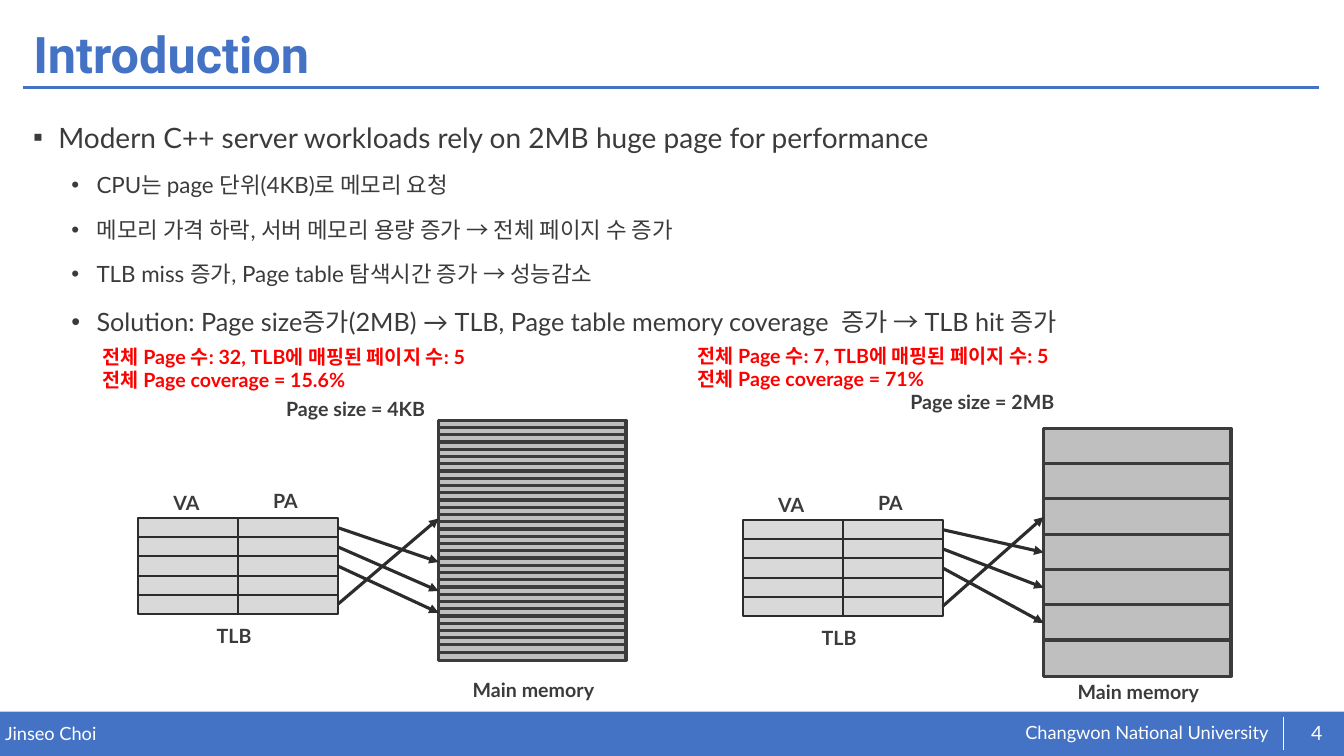
"""Build the introduction slide on page size and TLB coverage."""
from dataclasses import dataclass

from lxml.etree import SubElement
from pptx import Presentation
from pptx.dml.color import RGBColor
from pptx.enum.shapes import MSO_CONNECTOR, MSO_SHAPE
from pptx.enum.text import MSO_ANCHOR, PP_ALIGN
from pptx.oxml.ns import qn
from pptx.util import Inches, Pt


@dataclass(frozen=True)
class Theme:
    font: str = "Lato"
    head: str = "Roboto"
    blue: str = "4472C4"
    white: str = "FFFFFF"
    ink: str = "3B3B3B"
    dark: str = "2C2C2C"
    red: str = "FF0000"
    cell: str = "D9D9D9"
    page: str = "BFBFBF"
    title: int = 36
    label: int = 14
    foot: int = 13


THEME = Theme()
TITLE = "Introduction"
BODY = [
    ("▪", 20, 0.25, "Modern C++ server workloads rely on 2MB huge page for performance"),
    ("•", 16, 0.63, "CPU는 page 단위(4KB)로 메모리 요청"),
    ("•", 16, 0.63, "메모리 가격 하락, 서버 메모리 용량 증가 → 전체 페이지 수 증가"),
    ("•", 16, 0.63, "TLB miss 증가, Page table 탐색시간 증가 → 성능감소"),
    ("•", 18, 0.63, "Solution: Page size증가(2MB) → TLB, Page table memory coverage  증가 → TLB hit 증가"),
]
AUTHOR, SCHOOL, NUMBER = "Jinseo Choi", "Changwon National University", "4"
SIDES = [
    {
        "tlb": (1.37, 5.14),
        "pages": {"top": 4.17, "count": 33, "step": 2.3 / 32, "high": 0.08},
        "hits": {0: 19, 1: 23, 2: 26, 4: 13},
        "size": ("Page size = 4KB", 2.74, 3.89),
        "note": (["전체 Page 수: 32, TLB에 매핑된 페이지 수: 5",
                  "전체 Page coverage = 15.6%"], 0.92, 3.37),
    },
    {
        "tlb": (7.37, 5.16),
        "pages": {"top": 4.25, "count": 7, "step": 0.35, "high": 0.36},
        "hits": {0: 3, 1: 4, 2: 5, 4: 2},
        "size": ("Page size = 2MB", 8.93, 3.82),
        "note": (["전체 Page 수: 7, TLB에 매핑된 페이지 수: 5",
                  "전체 Page coverage = 71%"], 6.82, 3.36),
    },
]
LABELS = [
    ("VA", 0.25, -0.32, 0.49),
    ("PA", 1.24, -0.34, 0.49),
    ("TLB", 0.68, 1.0, 0.55),
    ("Main memory", 3.22, 1.54, 1.86),
]
ROWS, CELL_W, CELL_H = 5, 0.99, 0.19
PAGE_X, PAGE_W = 2.98, 1.86


def color(code):
    return RGBColor.from_string(code)


def style(para, size, code, bold=False, face=THEME.font):
    for run in para.runs:
        font = run.font
        font.name, font.size, font.bold = face, Pt(size), bold
        font.color.rgb = color(code)


def add_text(slide, lines, x, y, w, h, size, code, bold=False, bare=False):
    frame = slide.shapes.add_textbox(*map(Inches, (x, y, w, h))).text_frame
    frame.word_wrap = w > 1
    if bare:
        frame.margin_left = frame.margin_right = 0
        frame.margin_top = frame.margin_bottom = 0
    frame.text = "\n".join(lines)
    for para in frame.paragraphs:
        style(para, size, code, bold)
    return frame


def add_box(slide, x, y, w, h, fill, line=None, width=0):
    box = slide.shapes.add_shape(MSO_SHAPE.RECTANGLE, *map(Inches, (x, y, w, h)))
    box.shadow.inherit = False
    box.fill.solid()
    box.fill.fore_color.rgb = color(fill)
    if line:
        box.line.color.rgb = color(line)
        box.line.width = Pt(width)
    else:
        box.line.fill.background()
    return box


def add_line(slide, x1, y1, x2, y2, code, width):
    line = slide.shapes.add_connector(
        MSO_CONNECTOR.STRAIGHT, *map(Inches, (x1, y1, x2, y2)))
    line.line.color.rgb = color(code)
    line.line.width = Pt(width)
    SubElement(line._element.spPr, qn("a:effectLst"))
    return line


def add_arrow(slide, cell, page):
    arrow = add_line(slide, 0, 0, 1, 1, THEME.dark, 2.25)
    arrow.begin_connect(cell, 3)
    arrow.end_connect(page, 1)
    SubElement(arrow.line._get_or_add_ln(), qn("a:tailEnd"), type="triangle")


def add_frame(slide):
    add_box(slide, 0, 7.06, 13.33, 0.44, THEME.blue)
    add_text(slide, [SCHOOL], 10.17, 7.16, 2.67, 0.23, THEME.foot, THEME.white, bare=True)
    add_text(slide, [AUTHOR], 0.05, 7.17, 6.55, 0.22, THEME.foot, THEME.white, bare=True)
    add_line(slide, 0.23, 0.87, 13.08, 0.87, THEME.blue, 2)
    add_line(slide, 12.73, 7.11, 12.73, 7.44, THEME.white, 0.5)
    frame = add_text(slide, [NUMBER], 12.82, 7.07, 0.48, 0.4, THEME.label, THEME.white, bare=True)
    frame.word_wrap = True
    frame.vertical_anchor = MSO_ANCHOR.MIDDLE
    frame.paragraphs[0].alignment = PP_ALIGN.CENTER


def add_title(slide):
    title = slide.shapes.title
    title.left, title.top, title.width, title.height = map(
        Inches, (0.23, 0.18, 12.86, 0.77))
    frame = title.text_frame
    frame.text = TITLE
    frame.vertical_anchor = MSO_ANCHOR.MIDDLE
    para = frame.paragraphs[0]
    para.alignment, para.line_spacing = PP_ALIGN.LEFT, 0.9
    style(para, THEME.title, THEME.blue, True, THEME.head)


def add_body(slide):
    lines = [text for *_, text in BODY]
    frame = add_text(slide, lines, 0.23, 1.01, 12.86, 5.63, 16, THEME.ink)
    for i, (para, (mark, size, left, _)) in enumerate(zip(frame.paragraphs, BODY)):
        para.line_spacing = 1.4
        para.space_before = Pt(5 if i else 0)
        props = para._p.get_or_add_pPr()
        props.set("marL", str(Inches(left)))
        props.set("indent", str(-Inches(0.25)))
        SubElement(props, qn("a:buFont"), typeface="Arial")
        SubElement(props, qn("a:buChar"), char=mark)
        style(para, size, THEME.ink)


def add_side(slide, side):
    x, y = side["tlb"]
    cells = [[add_box(slide, x + col * CELL_W, y + row * CELL_H, CELL_W, CELL_H,
                      THEME.cell, THEME.dark, 1.5) for col in range(2)]
             for row in range(ROWS)]
    spec = side["pages"]
    pages = [add_box(slide, x + PAGE_X, spec["top"] + i * spec["step"], PAGE_W,
                     spec["high"], THEME.page, THEME.ink, 2.25)
             for i in range(spec["count"])]
    for row, hit in side["hits"].items():
        add_arrow(slide, cells[row][1], pages[hit])
    for text, dx, dy, w in LABELS:
        add_text(slide, [text], x + dx, y + dy, w, 0.34, THEME.label, THEME.ink, True)
    text, left, top = side["size"]
    add_text(slide, [text], left, top, 2.27, 0.34, THEME.label, THEME.ink, True)
    lines, left, top = side["note"]
    add_text(slide, lines, left, top, 5.92, 0.57, THEME.label, THEME.red, True)


def main():
    deck = Presentation()
    deck.slide_width, deck.slide_height = Inches(13.33), Inches(7.5)
    slide = deck.slides.add_slide(deck.slide_layouts[5])
    add_frame(slide)
    add_title(slide)
    add_body(slide)
    for side in SIDES:
        add_side(slide, side)
    deck.save("out.pptx")


if __name__ == "__main__":
    main()
